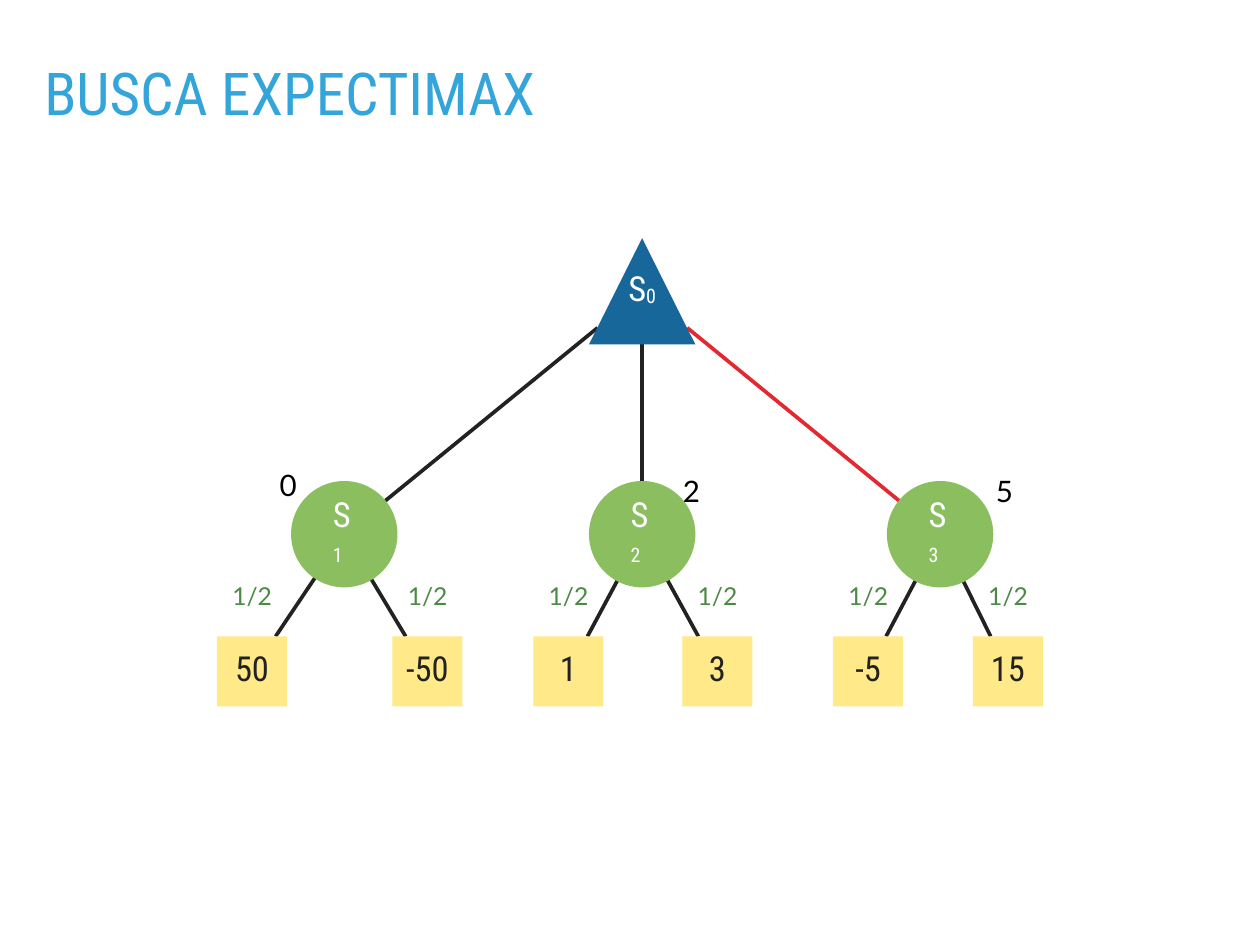
"""Draw an expectimax search tree with one max node, three chance nodes and six leaves."""
from dataclasses import dataclass

from lxml import etree
from pptx import Presentation
from pptx import util as u
from pptx.dml import color
from pptx.enum import shapes, text
from pptx.oxml import ns

HEADING, BODY = "Roboto Condensed", "Lato"
INK, WHITE, RED = "222222", "FFFFFF", "E42832"
ROOT_X, ROOT_TOP, NODE = 18.41, 6.83, 3.05
ROOT_BOTTOM = ROOT_TOP + NODE
CHANCE_Y = 15.32
LEAF, LEAF_TOP = 2.01, 18.25


@dataclass
class Outcome:
    value: str
    left: float
    branch_x: float


@dataclass
class Chance:
    index: str
    x: float
    expected: str
    expected_left: float
    expected_top: float
    root_x: float
    root_y: float
    branch_color: str
    outcomes: tuple[Outcome, ...]


@dataclass
class Style:
    size: float
    font: str
    color: str
    align: text.PP_ALIGN = text.PP_ALIGN.LEFT
    spacing: float = 1.0
    wrap: bool = False


TITLE = Style(48, HEADING, "34A5DA", spacing=0.8, wrap=True)
ROOT = Style(28, HEADING, WHITE, text.PP_ALIGN.CENTER, 0.8, True)
STATE = Style(28, HEADING, WHITE, spacing=0.8, wrap=True)
PAYOFF = Style(28, HEADING, INK, text.PP_ALIGN.CENTER, 0.8, True)
PROBABILITY = Style(20, BODY, "4C8945")
EXPECTED = Style(24, BODY, "000000")

CHANCES = (
    Chance("1", 9.87, "0", 7.87, 13.18, 17.13, 9.4, INK,
           (Outcome("50", 6.22, 7.9), Outcome("-50", 11.25, 11.63))),
    Chance("2", ROOT_X, "2", 19.43, 13.34, ROOT_X, ROOT_BOTTOM, INK,
           (Outcome("1", 15.29, 16.84), Outcome("3", 19.56, 20.02))),
    Chance("3", 26.95, "5", 28.4, 13.34, 19.7, 9.4, RED,
           (Outcome("-5", 23.88, 25.4), Outcome("15", 27.89, 28.4))),
)


def rgb(value: str) -> color.RGBColor:
    return color.RGBColor.from_string(value)


def paint(shape, fill: str) -> None:
    shape.shadow.inherit = False
    shape.fill.solid()
    shape.fill.fore_color.rgb = rgb(fill)
    shape.line.fill.background()


def write(shape, words: str, style: Style, subscript: str = "") -> None:
    frame = shape.text_frame
    frame.word_wrap = style.wrap
    frame.vertical_anchor = text.MSO_ANCHOR.MIDDLE
    frame.margin_left = frame.margin_right = u.Cm(0.15)
    frame.margin_top = frame.margin_bottom = u.Cm(0.15)
    paragraph = frame.paragraphs[0]
    paragraph.alignment = style.align
    paragraph.line_spacing = style.spacing
    for part in filter(None, (words, subscript)):
        run = paragraph.add_run()
        run.text = part
        run.font.size = u.Pt(style.size)
        run.font.name = style.font
        run.font.color.rgb = rgb(style.color)
    if subscript:
        run._r.get_or_add_rPr().set("baseline", "-6000")


def add_label(slide, left: float, top: float, width: float, height: float,
              words: str, style: Style, subscript: str = "") -> None:
    label = slide.shapes.add_textbox(u.Cm(left), u.Cm(top), u.Cm(width), u.Cm(height))
    write(label, words, style, subscript)


def add_branch(slide, x1: float, y1: float, x2: float, y2: float, stroke: str) -> None:
    branch = slide.shapes.add_connector(
        shapes.MSO_CONNECTOR.STRAIGHT, u.Cm(x1), u.Cm(y1), u.Cm(x2), u.Cm(y2))
    branch.line.color.rgb = rgb(stroke)
    branch.line.width = u.Pt(3)
    etree.SubElement(branch._element.spPr, ns.qn("a:effectLst"))


def add_root(slide) -> None:
    half = NODE / 2
    builder = slide.shapes.build_freeform(u.Cm(ROOT_X), u.Cm(ROOT_TOP))
    builder.add_line_segments(
        [(u.Cm(ROOT_X + half), u.Cm(ROOT_BOTTOM)), (u.Cm(ROOT_X - half), u.Cm(ROOT_BOTTOM))],
        close=True)
    root = builder.convert_to_shape()
    paint(root, "18679A")
    write(root, "S", ROOT, "0")


def add_branches(slide, chance: Chance) -> None:
    add_branch(slide, chance.root_x, chance.root_y, chance.x, CHANCE_Y, chance.branch_color)
    for outcome in chance.outcomes:
        add_branch(slide, chance.x, CHANCE_Y, outcome.branch_x, LEAF_TOP, INK)


def add_chance(slide, chance: Chance) -> None:
    circle = slide.shapes.add_shape(
        shapes.MSO_SHAPE.OVAL, u.Cm(chance.x - NODE / 2), u.Cm(CHANCE_Y - NODE / 2),
        u.Cm(NODE), u.Cm(NODE))
    paint(circle, "8ABE5E")
    add_label(slide, chance.x - 0.48, CHANCE_Y - 0.65, 0.96, 1.3, "S", STATE, chance.index)
    add_label(slide, chance.expected_left, chance.expected_top, 0.81, 1.45,
              chance.expected, EXPECTED)


def add_outcome(slide, outcome: Outcome) -> None:
    leaf = slide.shapes.add_shape(
        shapes.MSO_SHAPE.RECTANGLE, u.Cm(outcome.left), u.Cm(LEAF_TOP), u.Cm(LEAF), u.Cm(LEAF))
    paint(leaf, "FFE989")
    write(leaf, outcome.value, PAYOFF)
    add_label(slide, outcome.left + 0.29, 16.46, 1.5, 1.24, "1/2", PROBABILITY)


def main() -> None:
    deck = Presentation()
    deck.slide_width, deck.slide_height = u.Cm(36.12), u.Cm(27.1)
    slide = deck.slides.add_slide(deck.slide_layouts[6])
    for chance in CHANCES:
        add_branches(slide, chance)
    add_root(slide)
    for chance in CHANCES:
        add_chance(slide, chance)
        for outcome in chance.outcomes:
            add_outcome(slide, outcome)
    add_label(slide, 1.12, 1.82, 33.86, 2.01, "BUSCA EXPECTIMAX", TITLE)
    deck.save("out.pptx")


if __name__ == "__main__":
    main()
